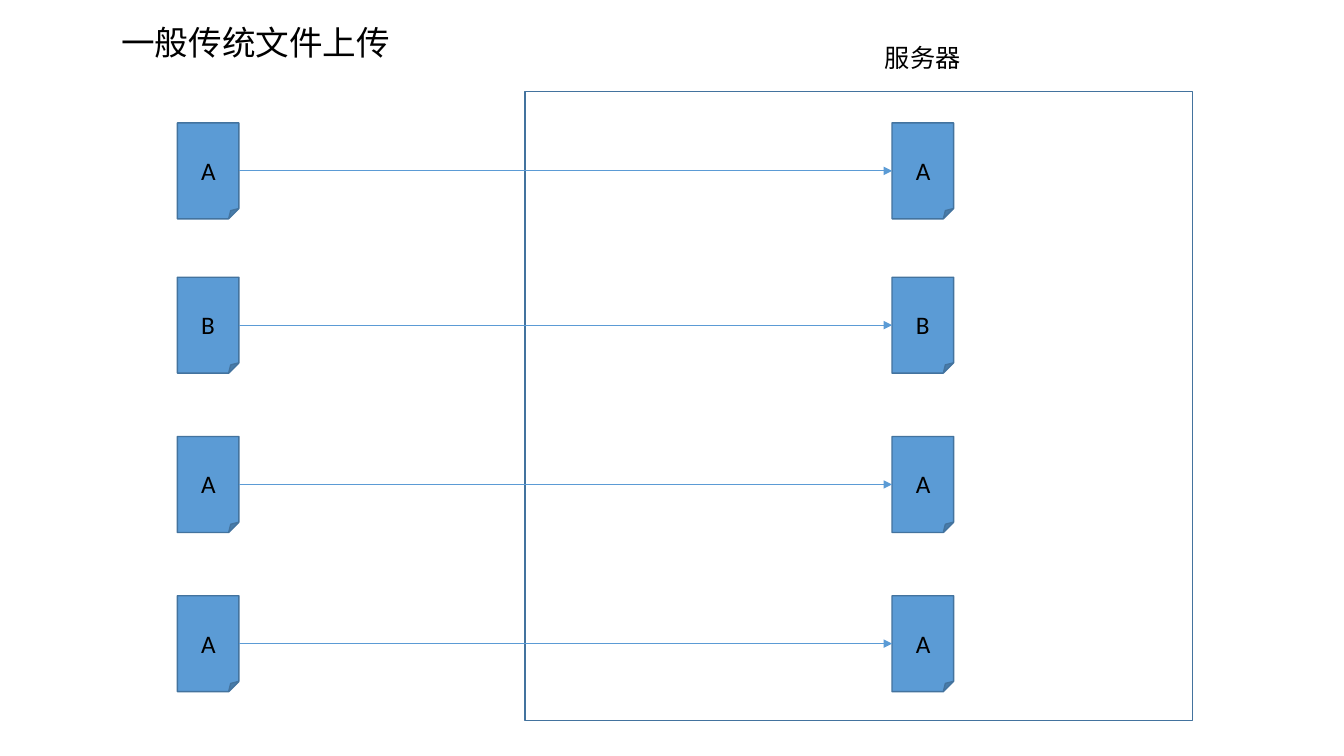
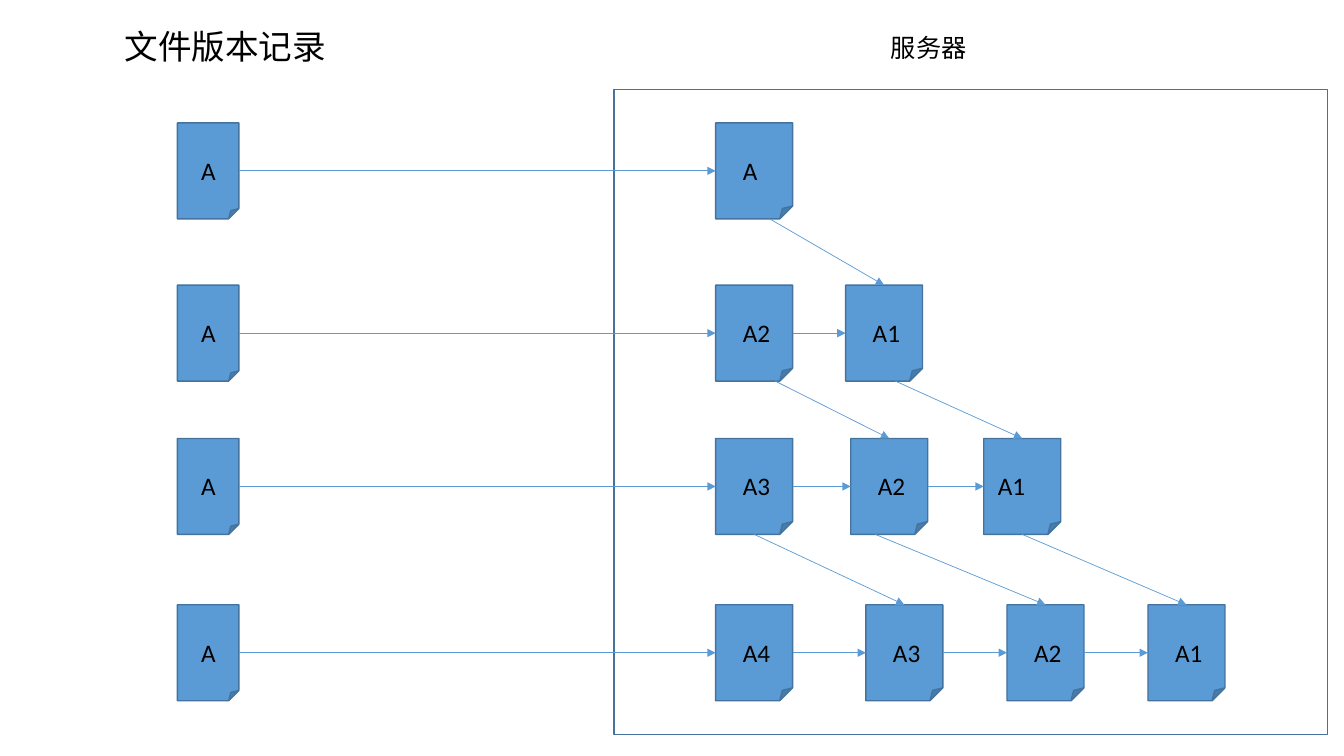
"""Build two slides comparing plain file upload with versioned file storage."""
import pptx
import pptx.util
import pptx.dml.color
import pptx.enum.shapes
import pptx.enum.text
import pptx.oxml

Pt = pptx.util.Pt
SHAPES = pptx.enum.shapes.MSO_SHAPE
ALIGN = pptx.enum.text.PP_ALIGN
BLUE = pptx.dml.color.RGBColor(0x5B, 0x9B, 0xD5)
DARK_BLUE = pptx.dml.color.RGBColor(0x43, 0x73, 0x9E)
WHITE = pptx.dml.color.RGBColor(0xFF, 0xFF, 0xFF)
BLACK = pptx.dml.color.RGBColor(0, 0, 0)
NAMESPACE = 'xmlns:a="http://schemas.openxmlformats.org/drawingml/2006/main"'

FRAME_FORMAT = {
    "word_wrap": True,
    "auto_size": pptx.enum.text.MSO_AUTO_SIZE.NONE,
    "vertical_anchor": pptx.enum.text.MSO_ANCHOR.TOP,
}
CLIENT_LEFT, CLIENT_WIDTH, DOCUMENT_HEIGHT = 126.7, 44, 68.5
NARROW_INSET, WIDE_INSET, TOP_INSET = 17, 19.4, 23

SLIDES = [
    {
        "title": "一般传统文件上传", "title_place": (44.6, 15.1, 276, 46),
        "server_place": (375.1, 65.5, 476.6, 449.3), "label_place": (625, 26.6, 170, 30),
        "width": 44, "inset": NARROW_INSET,
        "rows": [
            (87.8, "A", [(637.2, "A")], []),
            (198, "B", [(637.2, "B")], []),
            (311.8, "A", [(637.2, "A")], []),
            (425.5, "A", [(637.2, "A")], []),
        ],
    },
    {
        "title": "文件版本记录", "title_place": (23, 18, 276, 46),
        "server_place": (438.5, 64.1, 509.8, 460.8), "label_place": (629.3, 19.4, 170, 30),
        "width": 55, "inset": WIDE_INSET,
        "rows": [
            (87.8, "A", [(511.2, "A")], []),
            (203.7, "A", [(511.2, "A2"), (604, "A1")], [11]),
            (313.2, "A", [(511.2, "A3"), (607.7, "A2"), (702.7, "A1")], [15, 8]),
            (432, "A", [(511.2, "A4"), (618.5, "A3"), (719.3, "A2"), (820, "A1")], [0, -10, 0]),
        ],
    },
]


def write_text(shape, text, size=18, alignment=ALIGN.LEFT):
    frame = shape.text_frame
    for name, value in FRAME_FORMAT.items():
        setattr(frame, name, value)
    frame.text = text
    paragraph = frame.paragraphs[0]
    paragraph.alignment = alignment
    for name, value in {"name": "Calibri", "size": Pt(size), "bold": False}.items():
        setattr(paragraph.runs[0].font, name, value)
    paragraph.runs[0].font.color.rgb = BLACK
    return paragraph


def add_arrow(slide, source, source_site, target, target_site, offset=0):
    arrow = slide.shapes.add_connector(
        pptx.enum.shapes.MSO_CONNECTOR.STRAIGHT,
        source.left + source.width // 2 + Pt(offset), source.top + source.height,
        target.left, target.top)
    if not offset:
        arrow.begin_connect(source, source_site)
    arrow.end_connect(target, target_site)
    arrow.line.width = Pt(0.5)
    arrow.line.color.rgb = BLUE
    arrow.line._get_or_add_ln().append(pptx.oxml.parse_xml(f'<a:tailEnd {NAMESPACE} type="triangle"/>'))
    arrow._element.spPr.append(pptx.oxml.parse_xml(f"<a:effectLst {NAMESPACE}/>"))


presentation = pptx.Presentation()
presentation.slide_width = Pt(960)
presentation.slide_height = Pt(540)

for content in SLIDES:
    slide = presentation.slides.add_slide(presentation.slide_layouts[5])
    title = slide.shapes.title
    for name, value in zip(("left", "top", "width", "height"), content["title_place"]):
        setattr(title, name, Pt(value))
    write_text(title, content["title"], 24, ALIGN.CENTER).line_spacing = 0.9

    server = slide.shapes.add_shape(SHAPES.RECTANGLE, *map(Pt, content["server_place"]))
    label = slide.shapes.add_textbox(*map(Pt, content["label_place"]))
    write_text(label, "服务器")
    outlined = [(server, WHITE)]

    previous = []
    for top, client_name, versions, offsets in content["rows"]:
        boxes = [(CLIENT_LEFT, client_name, CLIENT_WIDTH, NARROW_INSET)]
        boxes += [(left, name, content["width"], content["inset"]) for left, name in versions]
        documents = []
        for left, name, width, inset in boxes:
            document = slide.shapes.add_shape(
                SHAPES.FOLDED_CORNER, Pt(left), Pt(top), Pt(width), Pt(DOCUMENT_HEIGHT))
            write_text(document, name)
            margins = {"margin_left": inset, "margin_top": TOP_INSET, "margin_right": 0, "margin_bottom": 0}
            for side, margin in margins.items():
                setattr(document.text_frame, side, Pt(margin))
            documents.append(document)
            outlined.append((document, BLUE))
        if len(versions) == 3:
            documents[-1].text_frame.margin_left = Pt(10)

        for source, target in zip(documents, documents[1:]):
            add_arrow(slide, source, 3, target, 1)
        for source, target, offset in zip(previous[1:], documents[2:], offsets):
            add_arrow(slide, source, 2, target, 0, offset)
        previous = documents

    for shape, color in outlined:
        shape.shadow.inherit = False
        shape.fill.solid()
        shape.fill.fore_color.rgb = color
        shape.line.color.rgb = DARK_BLUE
        shape.line.width = Pt(1)

presentation.save("out.pptx")
